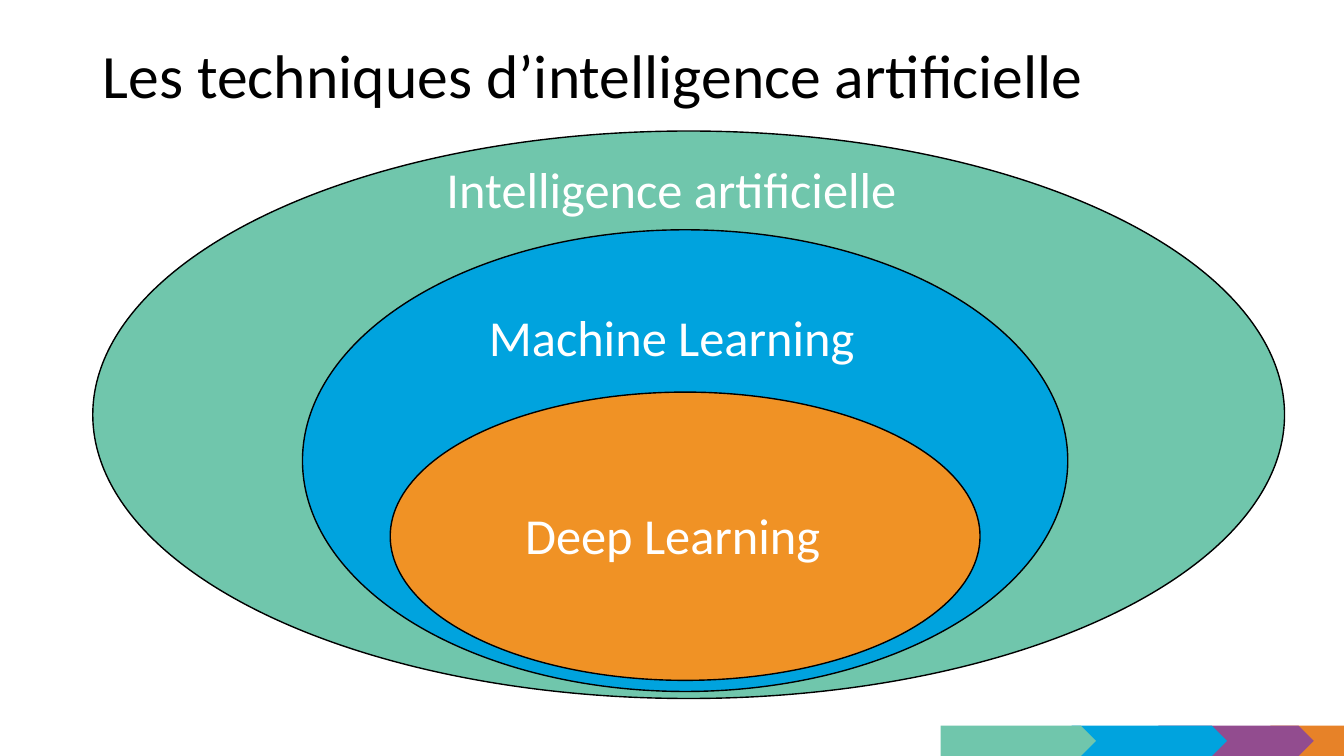
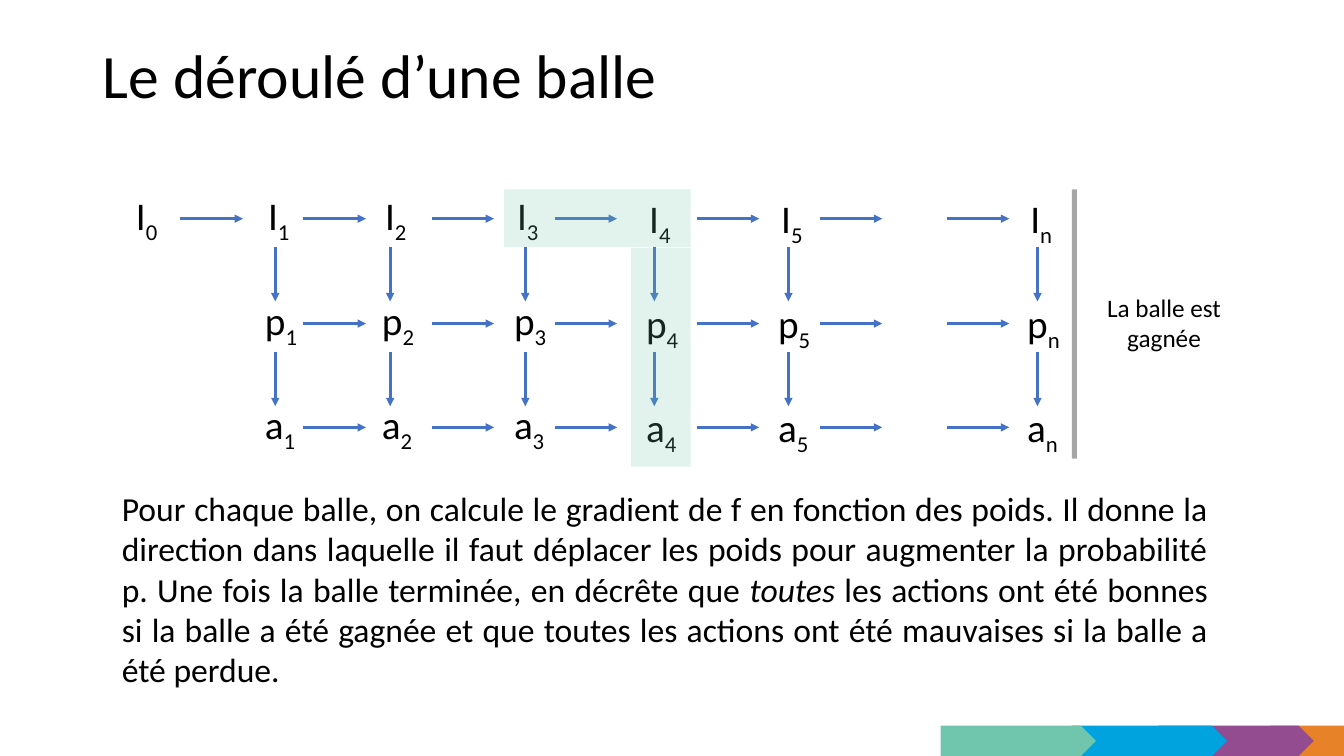
from lxml.etree import SubElement
from pptx import Presentation
from pptx.dml.color import RGBColor
from pptx.enum.shapes import MSO_CONNECTOR, MSO_SHAPE
from pptx.enum.text import MSO_ANCHOR, MSO_AUTO_SIZE, PP_ALIGN
from pptx.oxml.ns import qn
from pptx.util import Inches, Pt

FONT = "Calibri"
BLACK, WHITE, GREY = "000000", "FFFFFF", "A6A6A6"
GREEN, BLUE, PURPLE = "70C6AC", "00A3DE", "924C8F"
ORANGE, DARK_ORANGE, ARROW_BLUE = "F09225", "E78228", "4472C4"

BAND_TOP, BAND_HEIGHT = 7.2, 0.3
BAND = [
    (MSO_SHAPE.RECTANGLE, 12.6, 0.73, DARK_ORANGE),
    (MSO_SHAPE.PENTAGON, 11.49, 1.54, PURPLE),
    (MSO_SHAPE.PENTAGON, 10.63, 1.54, BLUE),
    (MSO_SHAPE.PENTAGON, 9.33, 1.54, GREEN),
]

ELLIPSES = [
    (0.92, 1.3, 11.82, 5.63, GREEN),
    (3, 2.28, 7.59, 4.58, BLUE),
    (3.87, 3.89, 5.85, 2.86, ORANGE),
]
ELLIPSE_LABELS = [
    ("Intelligence artificielle", 4.33, 1.52, 4.71),
    ("Machine Learning", 4.75, 2.99, 3.86),
    ("Deep Learning", 5.11, 4.95, 3.16),
]

ROWS = [("I", 1.85), ("p", 2.89), ("a", 3.92)]
STEPS = [
    ("1", 2.56, 0, 2.73),
    ("2", 3.72, 0, 3.87),
    ("3", 5.03, 0, 5.21),
    ("4", 6.34, 0.03, 6.49),
    ("5", 7.65, 0.03, 7.82),
    ("n", 10.12, 0.03, 10.29),
]
ARROW_STARTS = [3.01, 4.28, 5.5, 6.91, 8.13, 9.39]
ARROW_WIDTH, ARROW_HEIGHT = 0.62, 0.54


def color(value):
    """Turn a hex string into a colour."""
    return RGBColor.from_string(value)


def add_span(para, text, size=28, fill=BLACK, italic=False, baseline=None):
    """Append formatted text to a paragraph."""
    span = para.add_run()
    span.text = text
    span.font.name = FONT
    span.font.size = Pt(size)
    span.font.italic = italic
    span.font.color.rgb = color(fill)
    if baseline is not None:
        span._r.get_or_add_rPr().set("baseline", str(baseline * 1000))


def add_text(page, lines, left, top, width, height, wrap=True,
             align=PP_ALIGN.LEFT, **style):
    """Add a text box whose lines are lists of (text, format) pairs."""
    box = page.shapes.add_textbox(
        Inches(left), Inches(top), Inches(width), Inches(height))
    frame = box.text_frame
    frame.word_wrap = wrap
    frame.auto_size = MSO_AUTO_SIZE.SHAPE_TO_FIT_TEXT
    for index, line in enumerate(lines):
        para = frame.add_paragraph() if index else frame.paragraphs[0]
        para.alignment = align
        for text, extra in line:
            add_span(para, text, **{**style, **extra})


def add_block(page, kind, left, top, width, height, fill, line=None, alpha=None):
    """Add a filled shape with an optional outline and opacity in percent."""
    block = page.shapes.add_shape(
        kind, Inches(left), Inches(top), Inches(width), Inches(height))
    block.shadow.inherit = False
    block.fill.solid()
    block.fill.fore_color.rgb = color(fill)
    if alpha is not None:
        tint = next(block.element.spPr.iter(qn("a:srgbClr")))
        SubElement(tint, qn("a:alpha"), val=str(alpha * 1000))
    if line:
        block.line.color.rgb = color(line)
        block.line.width = Pt(1)
    else:
        block.line.fill.background()


def add_arrow(page, left, top, across=0, down=0):
    """Add an arrow that runs across or down from its start."""
    arrow = page.shapes.add_connector(
        MSO_CONNECTOR.STRAIGHT, Inches(left), Inches(top),
        Inches(left + across), Inches(top + down))
    arrow.line.color.rgb = color(ARROW_BLUE)
    arrow.line.width = Pt(2)
    properties = arrow.element.spPr
    SubElement(properties.find(qn("a:ln")), qn("a:tailEnd"), type="triangle")
    SubElement(properties, qn("a:effectLst"))


def add_page(deck, title):
    """Add a slide with the shared title style and colour band."""
    page = deck.slides.add_slide(deck.slide_layouts[5])
    box = page.shapes.title
    box.left, box.top = Inches(0.92), Inches(0.4)
    box.width, box.height = Inches(11.5), Inches(1.45)
    frame = box.text_frame
    frame.word_wrap = True
    frame.auto_size = MSO_AUTO_SIZE.NONE
    frame.vertical_anchor = MSO_ANCHOR.TOP
    para = frame.paragraphs[0]
    para.alignment = PP_ALIGN.LEFT
    para.line_spacing = 0.9
    add_span(para, title, size=44)
    for kind, left, width, fill in BAND:
        add_block(page, kind, left, BAND_TOP, width, BAND_HEIGHT, fill)
    return page


def add_symbol(page, letter, index, left, top, width):
    """Add a letter with a subscript."""
    line = [(letter, {}), (index, {"baseline": -25})]
    add_text(page, [line], left, top, width, 0.57)


def add_techniques(deck):
    """Build the slide of nested techniques."""
    page = add_page(deck, "Les techniques d’intelligence artificielle")
    for left, top, width, height, fill in ELLIPSES:
        add_block(page, MSO_SHAPE.OVAL, left, top, width, height, fill, line=BLACK)
    for text, left, top, width in ELLIPSE_LABELS:
        add_text(page, [[(text, {})]], left, top, width, 0.71,
                 wrap=False, size=36, fill=WHITE)


def add_sequence(page):
    """Draw the grid of images, probabilities and actions."""
    add_symbol(page, "I", "0", 1.25, ROWS[0][1], 0.51)
    add_arrow(page, 1.79, 2.17, across=ARROW_WIDTH)
    for letter, top in ROWS:
        shift, width = (0, 0.51) if letter == "I" else (0.03, 0.54)
        for index, left, drop, middle in STEPS:
            add_symbol(page, letter, index, left - shift, top + drop, width)
            if letter != "a":
                add_arrow(page, middle, top + 0.6, down=ARROW_HEIGHT)
        for start in ARROW_STARTS:
            add_arrow(page, start, top + 0.32, across=ARROW_WIDTH)


def add_rally(deck):
    """Build the slide on the course of a rally."""
    page = add_page(deck, "Le déroulé d’une balle")
    add_sequence(page)
    for place in [(5, 1.88, 1.85, 0.57), (6.26, 2.46, 0.59, 2.17)]:
        add_block(page, MSO_SHAPE.RECTANGLE, *place, GREEN, alpha=20)
    add_text(page, [[("La balle est", {})], [("gagnée", {})]],
             10.87, 2.85, 1.35, 0.71, wrap=False, align=PP_ALIGN.CENTER, size=18)
    add_block(page, MSO_SHAPE.RECTANGLE, 10.63, 1.88, 0.05, 2.67, GREY)
    explanation = [
        ("Pour chaque balle, on calcule le gradient de f en fonction des poids. "
         "Il donne la direction dans laquelle il faut déplacer les poids pour "
         "augmenter la probabilité p. Une fois la balle terminée, en décrête que ", {}),
        ("toutes ", {"italic": True}),
        ("les actions ont été bonnes si la balle a été gagnée et que toutes les "
         "actions ont été mauvaises si la balle a été perdue.", {}),
    ]
    add_text(page, [explanation], 1.11, 4.79, 10.97, 2.12,
             align=PP_ALIGN.JUSTIFY, size=24)


def main():
    """Build and save the deck."""
    deck = Presentation()
    deck.slide_width, deck.slide_height = Inches(13.33), Inches(7.5)
    add_techniques(deck)
    add_rally(deck)
    deck.save("out.pptx")


if __name__ == "__main__":
    main()
